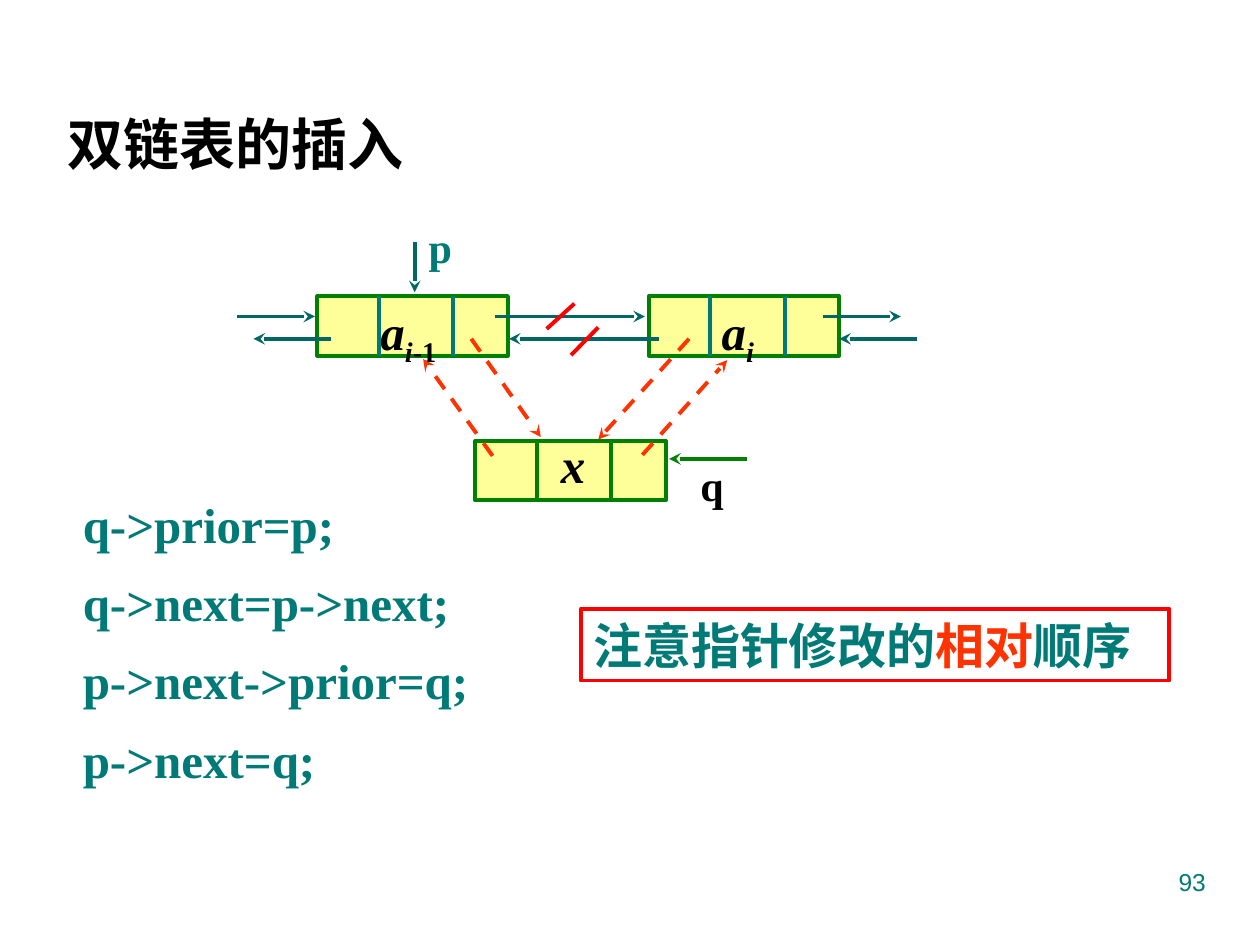
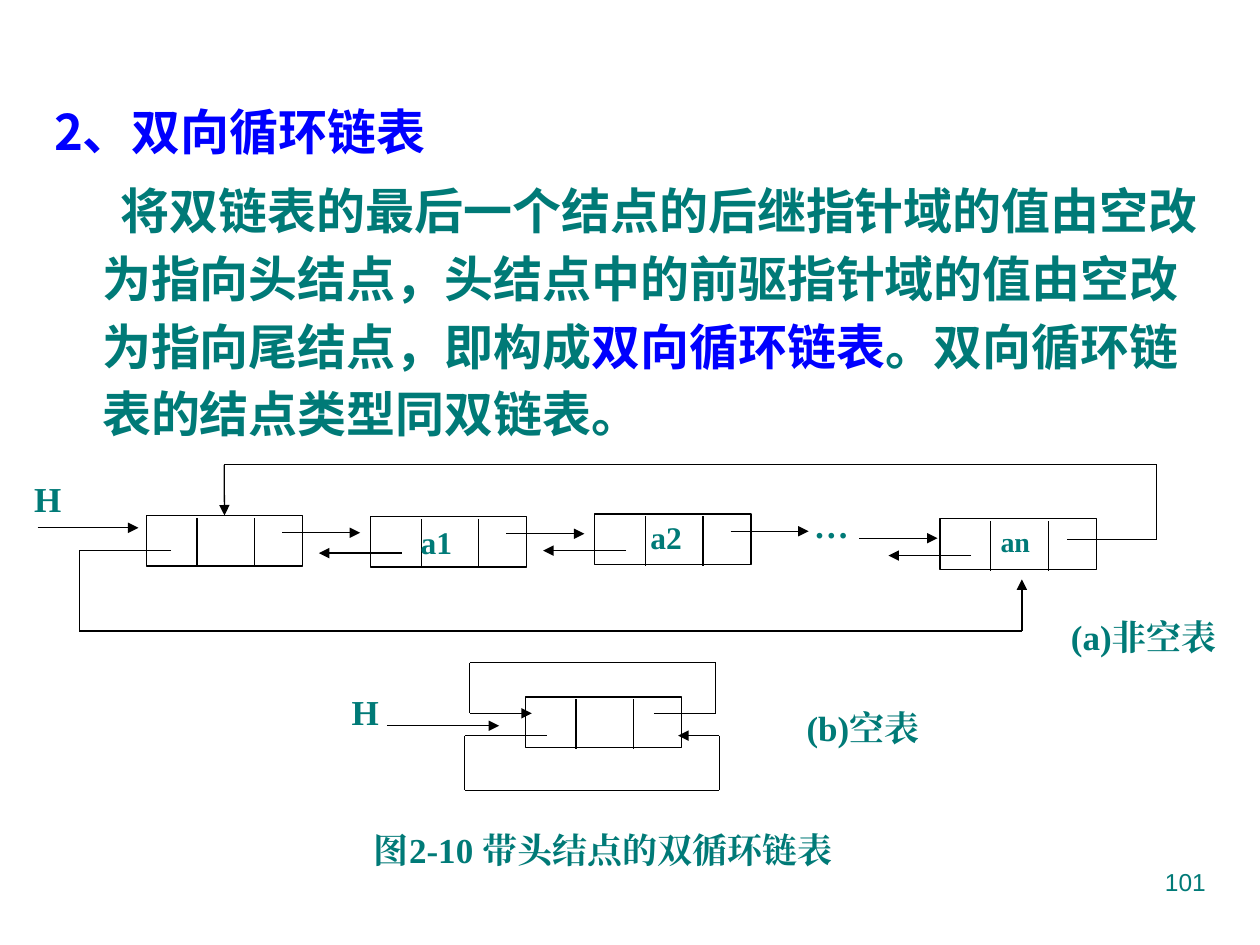
from itertools import pairwise

from lxml import etree
from pptx import Presentation
from pptx import util as u
from pptx.dml.color import RGBColor
from pptx.enum import dml, lang, shapes, text
from pptx.oxml import ns

HUES = {
    "teal": "007A77", "deep": "006666", "green": "008000", "cream": "FFFF99",
    "orange": "FF3300", "red": "FF0000", "blue": "0000FF", "black": "000000",
}
SANS, SERIF, HAN = "Arial", "Times New Roman", "Noto Sans CJK SC"
PAD = (0.25, 0.13, 0.25, 0.13)
BARE = (0, 0, 0, 0)


def hue(name):
    return RGBColor.from_string(HUES[name])


class Deck:
    """Holds the shared style and the slide being filled."""

    def __init__(self):
        self.prs = Presentation()
        self.prs.slide_width, self.prs.slide_height = u.Cm(25.4), u.Cm(19.05)
        self.slide = None

    def start(self, number):
        self.slide = self.prs.slides.add_slide(self.prs.slide_layouts[6])
        page = self.label(18.21, 17.35, 6.35, 1.32, str(number), 14, SANS,
                          bold=False, pad=PAD)
        page.text_frame.paragraphs[0].alignment = text.PP_ALIGN.RIGHT

    def frame(self, shape, pad):
        frame = shape.text_frame
        frame.word_wrap = True
        frame.vertical_anchor = text.MSO_ANCHOR.TOP
        (frame.margin_left, frame.margin_top,
         frame.margin_right, frame.margin_bottom) = map(u.Cm, pad)
        return frame

    def run(self, para, words, size, face, tint="teal", bold=True,
            slant=False, shift=None):
        run = para.add_run()
        run.text = words
        font = run.font
        font.size, font.name = u.Pt(size), face
        font.bold, font.italic = bold, slant
        font.color.rgb = hue(tint)
        font.language_id = lang.MSO_LANGUAGE_ID.SIMPLIFIED_CHINESE
        props = run._r.get_or_add_rPr()
        east = SANS if face == HAN else face
        etree.SubElement(props, ns.qn("a:ea"), typeface=east)
        if shift:
            props.set("baseline", str(shift * 1000))

    def label(self, x, y, w, h, words, size=20, face=SERIF, tint="teal",
              bold=True, pad=BARE):
        box = self.slide.shapes.add_textbox(*map(u.Cm, (x, y, w, h)))
        para = self.frame(box, pad).paragraphs[0]
        self.run(para, words, size, face, tint, bold)
        return box

    def rect(self, x, y, w, h, edge, width, fill=None):
        box = self.slide.shapes.add_shape(
            shapes.MSO_SHAPE.RECTANGLE, *map(u.Cm, (x, y, w, h)))
        box.shadow.inherit = False
        if fill:
            box.fill.solid()
            box.fill.fore_color.rgb = hue(fill)
        else:
            box.fill.background()
        box.line.color.rgb = hue(edge)
        box.line.width = u.Pt(width)
        box.text_frame.paragraphs[0].alignment = text.PP_ALIGN.LEFT
        return box

    def line(self, start, end, tint="black", width=0.75, tip=None, dash=False):
        link = self.slide.shapes.add_connector(
            shapes.MSO_CONNECTOR.STRAIGHT, *map(u.Cm, (*start, *end)))
        link.line.color.rgb = hue(tint)
        link.line.width = u.Pt(width)
        if dash:
            link.line.dash_style = dml.MSO_LINE.DASH
        if tip:
            etree.SubElement(link.line._get_or_add_ln(),
                             ns.qn("a:tailEnd"), type=tip)
        etree.SubElement(link._element.spPr, ns.qn("a:effectLst"))
        return link

    def route(self, *points, tip=None):
        """Draw a bent path whose last leg may carry an arrowhead."""
        legs = list(pairwise(points))
        for leg in legs[:-1]:
            self.line(*leg)
        self.line(*legs[-1], tip=tip)


def node(deck, x, y, bar, parts, pad):
    """Draw a filled three-cell node; parts are (words, slant, shift)."""
    box = deck.rect(x, y, 3.84, 1.2, "green", 2.25, "cream")
    para = deck.frame(box, pad).paragraphs[0]
    para.line_spacing = 0.9
    for words, slant, shift in parts:
        deck.run(para, words, 28, SERIF, "black", slant=slant, shift=shift)
    for gap in (1.24, 2.74):
        deck.line((x + gap, y), (x + gap, y + 1.2), bar, 2.25)


def cell(deck, x, y):
    """Draw an outlined three-cell node."""
    box = deck.rect(x, y, 3.15, 1.02, "black", 0.75)
    for gap in (1.02, 2.18):
        deck.line((x + gap, y + 0.05), (x + gap, y + 1.05))
    return box


def insert(deck):
    deck.start(93)
    deck.label(1.12, 2.08, 12.07, 1.63, "双链表的插入", 32, SANS, "black", pad=PAD)
    steps = ("q->prior=p;", "q->next=p->next;", "p->next->prior=q;", "p->next=q;")
    for i, step in enumerate(steps):
        deck.label(1.42, 9.83 + 1.58 * i, 10.16, 1.45, step, 28, pad=PAD)

    node(deck, 6.4, 5.97, "teal",
         [("a", True, None), ("i", True, -25), ("-1", False, -25)],
         (1.27, 0.12, 0, 0))
    node(deck, 13.08, 5.97, "teal", [("a", True, None), ("i", True, -25)],
         (1.47, 0.12, 0, 0))
    node(deck, 9.58, 8.89, "green", [("x", True, None)], (1.73, 0, 0, 0))

    nexts = [(4.78, 6.35), (9.98, 13), (16.59, 18.16)]
    priors = [(6.68, 5.11), (13.28, 10.26), (18.49, 16.92)]
    for y, spans in ((6.38, nexts), (6.83, priors)):
        for a, b in spans:
            deck.line((a, y), (b, y), "deep", 2.25, "stealth")
    deck.line((8.36, 4.88), (8.36, 5.89), "deep", 2.25, "stealth")
    deck.line((15.06, 9.25), (13.49, 9.25), "green", 2.25, "stealth")
    deck.label(8.64, 4.47, 0.69, 1.02, "p", 24)
    deck.label(14.12, 9.27, 0.69, 1.02, "q", 24, tint="black")

    links = [((9.93, 9.19), (8.53, 7.24)), ((12.95, 9.17), (14.66, 7.26)),
             ((13.89, 6.83), (12.06, 8.86)), ((9.5, 6.83), (10.9, 8.81))]
    for a, b in links:
        deck.line(a, b, "orange", 2.25, "stealth", dash=True)
    for a, b in [((12.06, 6.6), (11.51, 7.16)), ((11.58, 6.12), (11.02, 6.63))]:
        deck.line(a, b, "red", 2.25)

    note = deck.rect(11.71, 12.27, 11.86, 1.45, "red", 2.25)
    para = deck.frame(note, PAD).paragraphs[0]
    for words, tint in (("注意指针修改的", "teal"), ("相对", "orange"), ("顺序", "teal")):
        deck.run(para, words, 28, SANS, tint)


def ring(deck):
    deck.start(101)
    body = deck.label(0.84, 1.73, 23.72, 7.39, "2、双向循环链表", 28, HAN, "blue",
                      pad=PAD)
    head = body.text_frame.paragraphs[0]
    para = body.text_frame.add_paragraph()
    para.space_before = u.Pt(7)
    for item, indent in ((head, -0.97), (para, 0.38)):
        item.line_spacing = 1.15
        props = item._p.get_or_add_pPr()
        props.set("marL", str(u.Cm(0.97)))
        props.set("indent", str(u.Cm(indent)))
    for words, tint in (
        ("将双链表的最后一个结点的后继指针域的值由空改为指向头结点，"
         "头结点中的前驱指针域的值由空改为指向尾结点，即构成", "teal"),
        ("双向循环链表", "blue"),
        ("。双向循环链表的结点类型同双链表。", "teal"),
    ):
        deck.run(para, words, 28, HAN, tint)

    first = cell(deck, 2.95, 10.39)
    spots = [(2.95, 10.39), (7.47, 10.41), (11.99, 10.36), (18.95, 10.46)]
    for x, y in spots[1:]:
        cell(deck, x, y)
        deck.line((x + 0.63, y + 0.74), (x - 1.04, y + 0.74), tip="triangle")
    for x, y in spots[:-1]:
        deck.line((x + 2.74, y + 0.35), (x + 4.31, y + 0.35), tip="triangle")
    deck.line((17.32, 10.85), (18.9, 10.85), tip="triangle")
    cell(deck, 10.59, 14.05)

    deck.route((21.51, 10.87), (23.32, 10.87), (23.32, 9.37), (4.52, 9.37))
    down = deck.line((4.52, 9.37), (4.52, 10.39), tip="triangle")
    down.end_connect(first, 0)
    deck.route((3.45, 11.1), (1.6, 11.1), (1.6, 12.72), (20.6, 12.72),
               (20.6, 11.68), tip="triangle")
    deck.route((13.18, 14.38), (14.43, 14.38), (14.43, 13.36), (9.47, 13.36),
               (9.47, 14.38), (10.72, 14.38), tip="triangle")
    deck.route((11.02, 14.83), (9.37, 14.83), (9.37, 15.93), (14.5, 15.93),
               (14.5, 14.83), (13.67, 14.83), tip="triangle")
    deck.line((0.76, 10.64), (2.79, 10.64), tip="triangle")
    deck.line((7.8, 14.63), (10.06, 14.63), tip="triangle")

    for x, y, w, words, size in (
        (0.69, 9.63, 1.24, "H", 20), (7.09, 13.92, 0.75, "H", 20),
        (8.48, 10.54, 0.75, "a1", 18), (13.11, 10.44, 0.89, "a2", 18),
        (20.17, 10.57, 0.75, "an", 16), (16.41, 10.16, 1.24, "…", 20),
        (21.59, 12.4, 3.81, "(a)非空表", 20), (16.26, 14.25, 2.8, "(b)空表", 20),
        (7.54, 16.71, 9.42, "图2-10 带头结点的双循环链表", 20),
    ):
        deck.label(x, y, w, 1.02, words, size)


def main():
    deck = Deck()
    insert(deck)
    ring(deck)
    deck.prs.save("out.pptx")


if __name__ == "__main__":
    main()
